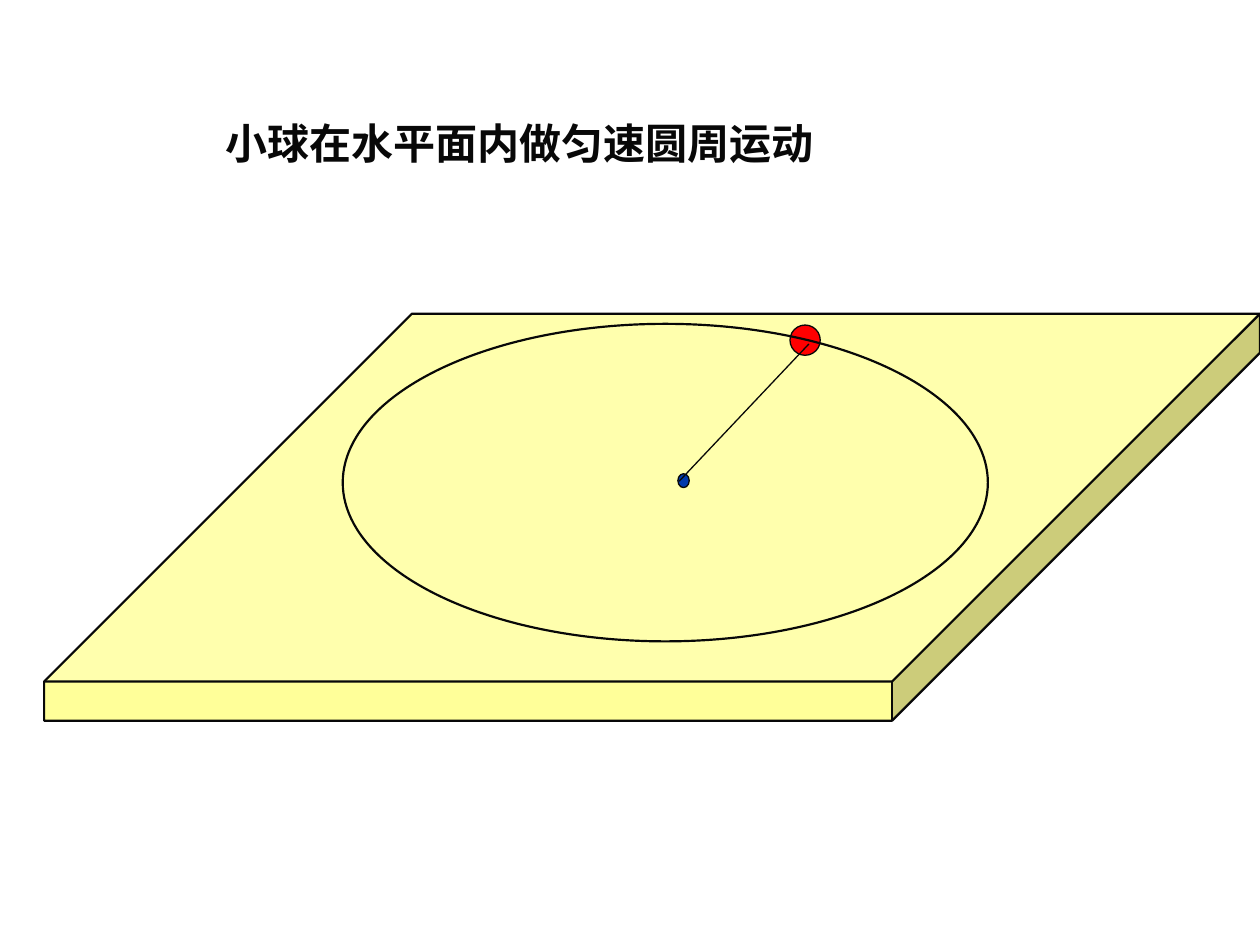
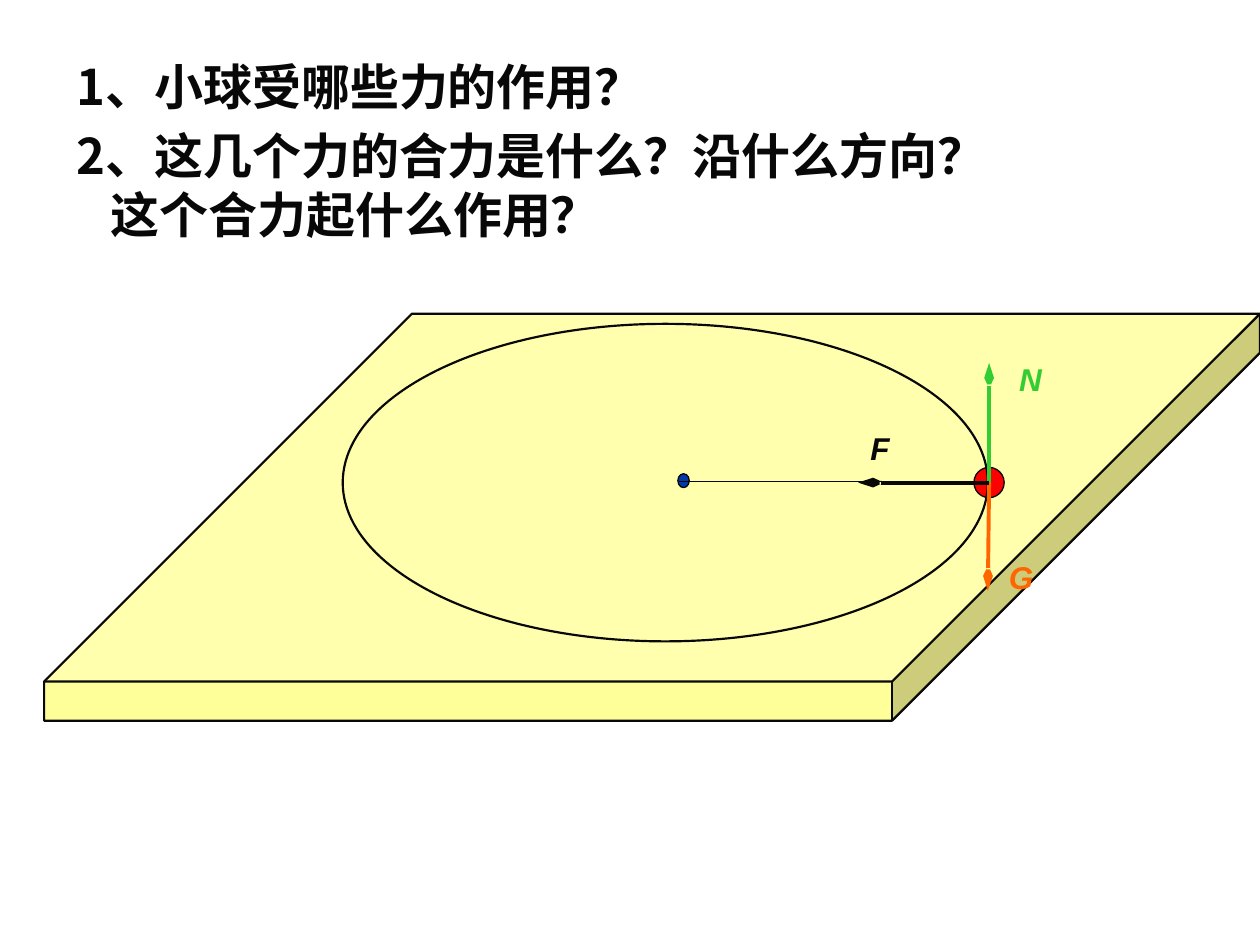
from dataclasses import dataclass

from lxml import etree
from pptx import Presentation
from pptx.dml.color import RGBColor
from pptx.enum.shapes import MSO_CONNECTOR, MSO_SHAPE
from pptx.oxml.ns import qn
from pptx.util import Inches, Pt

CUBE = MSO_SHAPE.CUBE
OVAL = MSO_SHAPE.OVAL
STRAIGHT = MSO_CONNECTOR.STRAIGHT


@dataclass(frozen=True)
class Theme:
    ink: str = "080808"
    board: str = "FFFF99"
    ball: str = "FF0000"
    center: str = "0039AC"
    normal_force: str = "33CC33"
    gravity: str = "FF6600"
    latin_font: str = "Arial"
    chinese_font: str = "Noto Sans CJK SC"
    title_size: float = 24
    question_size: float = 28
    label_size: float = 18
    thin: float = 0.75
    outline: float = 1.25
    force: float = 2.25


THEME = Theme()
BALL_SIZE = 0.24
STRING_START = (5.39, 3.82)
FORCE_ORIGIN = (7.85, 3.83)


def add_solid(slide, kind, box, line_width, fill=None):
    solid = slide.shapes.add_shape(kind, *map(Inches, box))
    solid.shadow.inherit = False
    if fill:
        solid.fill.solid()
        solid.fill.fore_color.rgb = RGBColor.from_string(fill)
    else:
        solid.fill.background()
    solid.line.color.rgb = RGBColor.from_string(THEME.ink)
    solid.line.width = Pt(line_width)
    return solid


def add_line(slide, start, end, color, width):
    line = slide.shapes.add_connector(STRAIGHT, *map(Inches, start + end))
    line.line.color.rgb = RGBColor.from_string(color)
    line.line.width = Pt(width)
    etree.SubElement(line._element.spPr, qn("a:effectLst"))
    return line


def add_text(slide, box, lines, size, color=THEME.ink, font=THEME.latin_font,
             italic=False, top_inset=0.05, line_height=None, later_indent=0):
    frame = slide.shapes.add_textbox(*map(Inches, box)).text_frame
    frame.word_wrap = True
    frame.margin_top = Inches(top_inset)
    for index, text in enumerate(lines):
        paragraph = frame.add_paragraph() if index else frame.paragraphs[0]
        if index and later_indent:
            paragraph._p.get_or_add_pPr().set("marL", str(Inches(later_indent)))
        if line_height:
            paragraph.line_spacing = Pt(line_height)
        run = paragraph.add_run()
        run.text = text
        run.font.size = Pt(size)
        run.font.bold = True
        run.font.italic = italic
        run.font.name = font
        run.font.color.rgb = RGBColor.from_string(color)
        east_asian = etree.SubElement(run._r.get_or_add_rPr(), qn("a:ea"))
        east_asian.set("typeface", THEME.chinese_font)


def add_chinese(slide, box, lines, size, font=THEME.chinese_font):
    add_text(slide, box, lines, size, font=font, top_inset=0.09,
             line_height=size * 1.2, later_indent=0.27)


def add_force(slide, letter, end, label_at, color):
    arrow = add_line(slide, FORCE_ORIGIN, end, color, THEME.force)
    etree.SubElement(arrow.line._get_or_add_ln(), qn("a:tailEnd"),
                     type="arrow", w="sm", len="lg")
    add_text(slide, label_at + (0.63, 0.4), [letter], THEME.label_size,
             color, italic=True)


def add_orbit_scene(slide, ball_at, string_end):
    board = add_solid(slide, CUBE, (0.35, 2.49, 9.65, 3.23), THEME.outline, THEME.board)
    board.adjustments[0] = 0.904
    add_solid(slide, OVAL, ball_at + (BALL_SIZE, BALL_SIZE), THEME.thin, THEME.ball)
    add_solid(slide, OVAL, (5.38, 3.76, 0.09, 0.11), THEME.thin, THEME.center)
    add_solid(slide, OVAL, (2.72, 2.57, 5.12, 2.52), THEME.outline)
    add_line(slide, STRING_START, string_end, THEME.ink, THEME.thin)


def build_motion_slide(slide):
    add_orbit_scene(slide, (6.27, 2.58), (6.42, 2.73))
    add_chinese(slide, (1.69, 0.84, 5.2, 0.5), ["小球在水平面内做匀速圆周运动"],
                THEME.title_size, THEME.latin_font)


def build_forces_slide(slide):
    add_orbit_scene(slide, (7.73, 3.71), (7.84, 3.82))
    add_force(slide, "N", (7.85, 2.88), (7.99, 2.81), THEME.normal_force)
    add_force(slide, "G", (7.84, 4.69), (7.91, 4.38), THEME.gravity)
    add_force(slide, "F", (6.81, 3.83), (6.81, 3.36), THEME.ink)
    add_chinese(slide, (0.51, 0.36, 6.38, 0.63), ["1、小球受哪些力的作用？"],
                THEME.question_size)
    add_chinese(slide, (0.51, 0.91, 8.03, 1.03),
                ["2、这几个力的合力是什么？沿什么方向？", "这个合力起什么作用？"],
                THEME.question_size)


def main():
    deck = Presentation()
    deck.slide_width = Inches(10)
    deck.slide_height = Inches(7.5)
    blank = deck.slide_layouts[6]
    for build in (build_motion_slide, build_forces_slide):
        build(deck.slides.add_slide(blank))
    deck.save("out.pptx")


if __name__ == "__main__":
    main()
